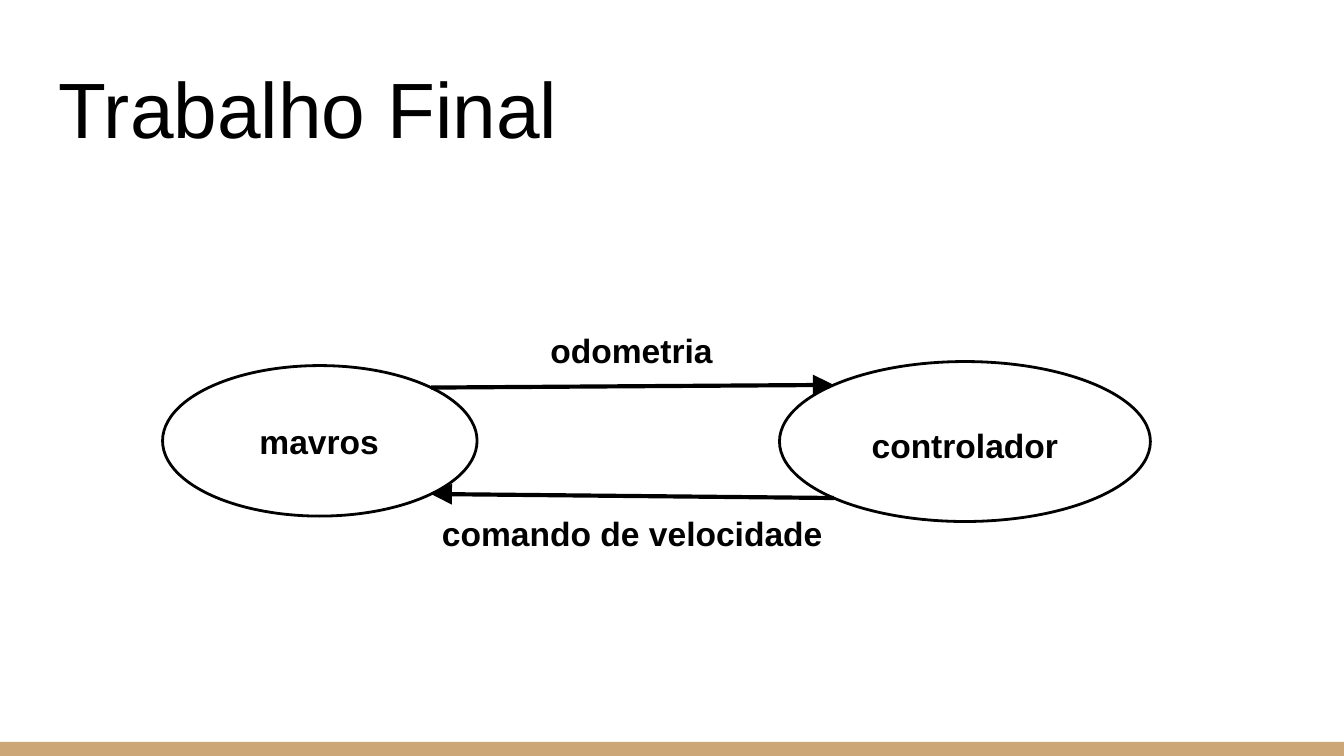
import math

from lxml import etree
from pptx import Presentation
from pptx.dml.color import RGBColor
from pptx.enum import shapes, text
from pptx.oxml import ns
from pptx.util import Inches, Pt

BLACK = RGBColor(0x00, 0x00, 0x00)
WHITE = RGBColor(0xFF, 0xFF, 0xFF)
TAN = RGBColor(0xCC, 0xA6, 0x77)

MAVROS = (1.21, 2.72, 2.34, 1.12)
CONTROLLER = (5.8, 2.69, 2.76, 1.19)
LABEL = {"size": Pt(18), "bold": True}
CENTER = text.PP_ALIGN.CENTER
MIDDLE = text.MSO_ANCHOR.MIDDLE


def lengths(values):
    return [Inches(value) for value in values]


def add_filled(slide, kind, box, fill, outline=None):
    figure = slide.shapes.add_shape(kind, *lengths(box))
    figure.shadow.inherit = False
    figure.fill.solid()
    figure.fill.fore_color.rgb = fill
    if outline is None:
        figure.line.fill.background()
    else:
        figure.line.color.rgb = outline
        figure.line.width = Pt(1.5)


def add_words(slide, words, box, font, align=CENTER, anchor=MIDDLE):
    frame = slide.shapes.add_textbox(*lengths(box)).text_frame
    layout = {"word_wrap": True, "vertical_anchor": anchor}
    layout.update({f"margin_{side}": Inches(0.1)
                   for side in ("left", "top", "right", "bottom")})
    for name, value in layout.items():
        setattr(frame, name, value)
    paragraph = frame.paragraphs[0]
    paragraph.alignment = align
    run = paragraph.add_run()
    run.text = words
    for name, value in {"name": "Arial", **font}.items():
        setattr(run.font, name, value)
    run.font.color.rgb = BLACK


def diagonal_point(box, right, down):
    """Point of an ellipse at 45 degrees; right and down are 1 or -1."""
    left, top, width, height = box
    reach = math.sqrt(0.5)
    return (left + width / 2 * (1 + right * reach),
            top + height / 2 * (1 + down * reach))


def add_arrow(slide, start, end):
    arrow = slide.shapes.add_connector(
        shapes.MSO_CONNECTOR.STRAIGHT, *lengths(start + end))
    arrow.line.color.rgb = BLACK
    arrow.line.width = Pt(2.25)
    head = etree.SubElement(arrow.line._get_or_add_ln(), ns.qn("a:tailEnd"))
    for name, value in {"type": "triangle", "w": "lg", "len": "lg"}.items():
        head.set(name, value)
    etree.SubElement(arrow._element.spPr, ns.qn("a:effectLst"))


def main():
    deck = Presentation()
    deck.slide_width = Inches(10)
    deck.slide_height = deck.slide_width * 9 // 16
    slide = deck.slides.add_slide(deck.slide_layouts[6])

    # Footer band and title
    add_filled(slide, shapes.MSO_SHAPE.RECTANGLE, (0, 5.52, 10, 0.11), TAN)
    add_words(slide, "Trabalho Final", (0.34, 0.34, 9.32, 0.91),
              {"size": Pt(42)}, text.PP_ALIGN.LEFT, text.MSO_ANCHOR.BOTTOM)

    # Nodes
    for node in (MAVROS, CONTROLLER):
        add_filled(slide, shapes.MSO_SHAPE.OVAL, node, WHITE, BLACK)
    add_words(slide, "mavros", (1.79, 3.02, 1.17, 0.53), LABEL)
    add_words(slide, "controlador", (6.28, 3.06, 1.8, 0.44), LABEL,
              anchor=text.MSO_ANCHOR.TOP)

    # Messages between the nodes
    add_arrow(slide, diagonal_point(MAVROS, 1, -1),
              diagonal_point(CONTROLLER, -1, -1))
    add_arrow(slide, diagonal_point(CONTROLLER, -1, 1),
              diagonal_point(MAVROS, 1, 1))
    add_words(slide, "odometria", (3.42, 2.42, 2.56, 0.37), LABEL)
    add_words(slide, "comando de velocidade", (3.08, 3.78, 3.25, 0.37), LABEL)

    deck.save("out.pptx")


if __name__ == "__main__":
    main()
